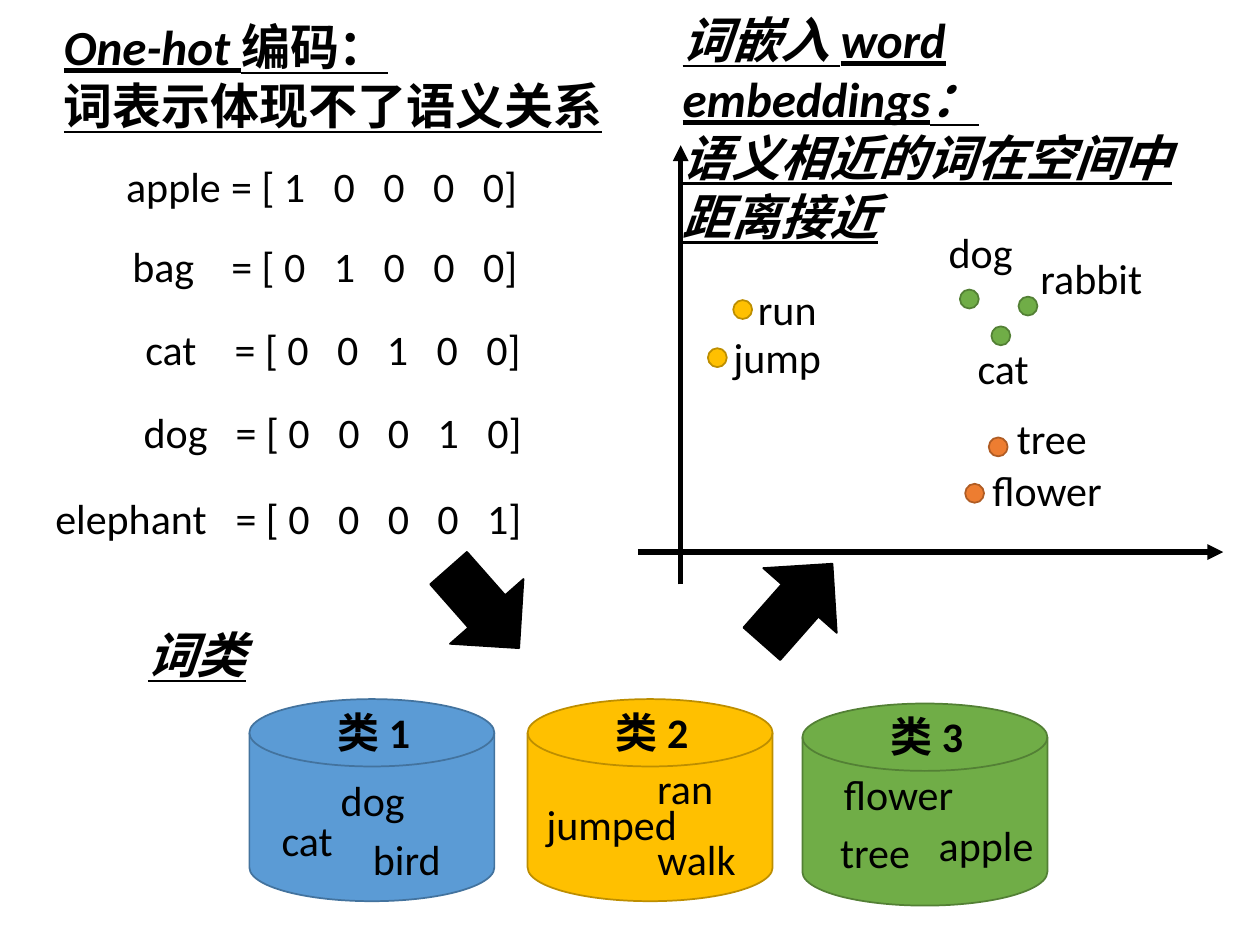
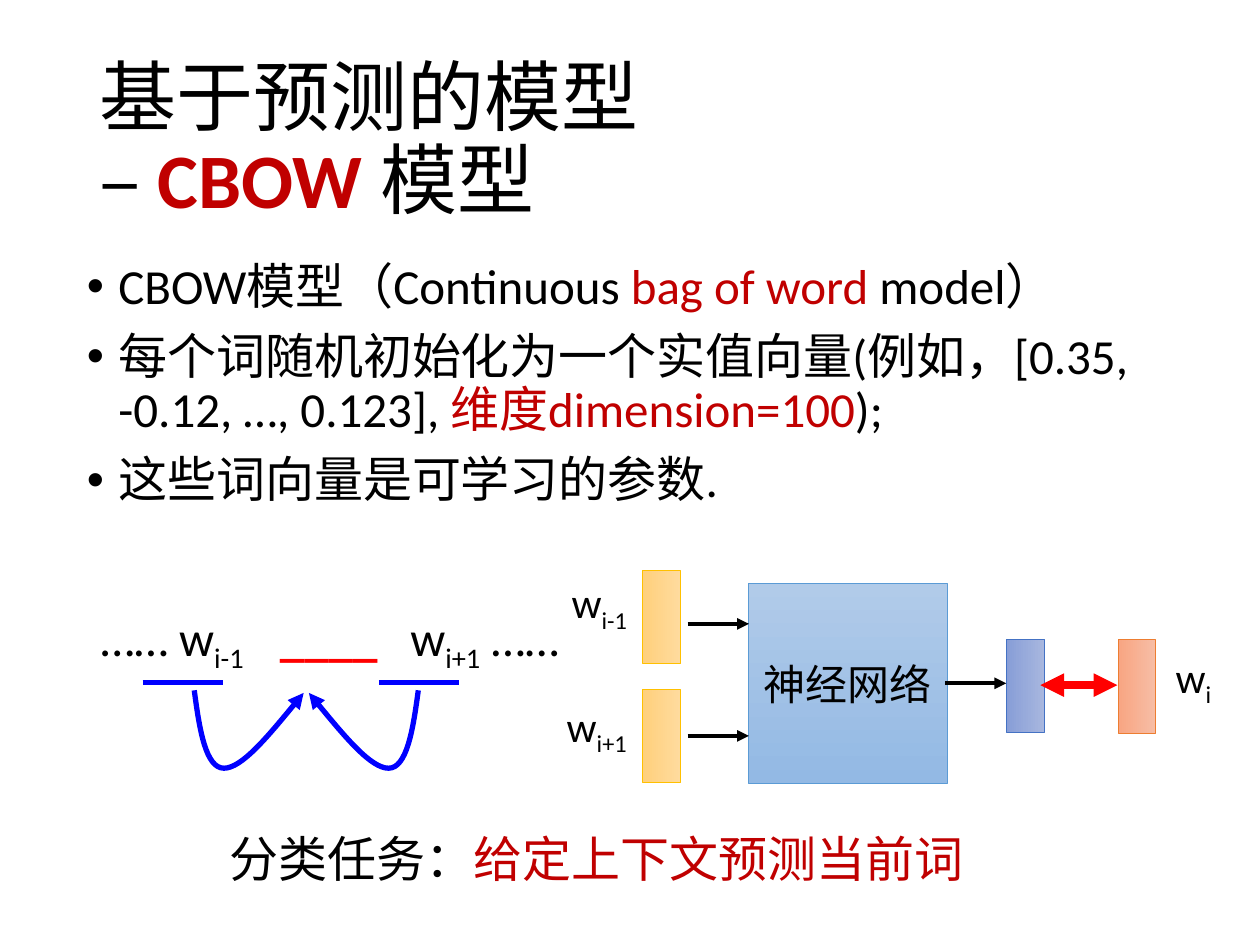
from lxml import etree
from pptx import Presentation
from pptx.dml.color import RGBColor
from pptx.enum import lang, shapes, text
from pptx.oxml.ns import qn
from pptx.util import Pt

FONT = "Calibri"
COLORS = {
    "black": "000000", "crimson": "C00000", "red": "FF0000", "pure_blue": "0000FF",
    "blue": "5B9BD5", "blue_edge": "43739E",
    "gold": "FFC000", "gold_edge": "BD8E00",
    "green": "70AD47", "green_edge": "538035",
    "orange": "ED7D31", "orange_edge": "AF5C24", "indigo": "4472C4",
}
# Light and dark end of each soft gradient
GRADIENTS = {
    "blue": ("B1CBE9", "93B9E4"), "gold": ("FFDB9E", "FFD07C"),
    "orange": ("F7BDA5", "F8A582"), "indigo": ("A8B7DF", "889ED7"),
}
LABEL_H = 36
LEFT, CENTER = text.PP_ALIGN.LEFT, text.PP_ALIGN.CENTER
SHAPE = shapes.MSO_SHAPE


def rgb(name):
    return RGBColor.from_string(COLORS[name])


# ---- Text ----
def add_run(p, words, size=24, color="black", bold=False, italic=False,
            underline=False, sub=False):
    for i, line in enumerate(words.split("\n")):
        if i:
            p.add_line_break()
        r = p.add_run()
        r.text = line
        f = r.font
        f.name, f.size, f.bold = FONT, Pt(size), bold
        f.italic, f.underline = italic, underline
        f.color.rgb = rgb(color)
        f.language_id = lang.MSO_LANGUAGE_ID.SIMPLIFIED_CHINESE
        if sub:
            r.font._element.set("baseline", "-25000")


def write(tf, paragraphs, align=LEFT, **fmt):
    """Each paragraph is a string or a list of strings and (string, format) pairs."""
    for i, runs in enumerate(paragraphs):
        p = tf.add_paragraph() if i else tf.paragraphs[0]
        p.alignment = align
        for run in [runs] if isinstance(runs, str) else runs:
            words, own = (run, {}) if isinstance(run, str) else run
            add_run(p, words, **{**fmt, **own})


def add_text(slide, left, top, width, height, *paragraphs, **fmt):
    tf = slide.shapes.add_textbox(Pt(left), Pt(top), Pt(width), Pt(height)).text_frame
    tf.word_wrap = True
    write(tf, paragraphs, **fmt)
    return tf


def set_tabs(p, stops):
    tabs = etree.SubElement(p._p.get_or_add_pPr(), qn("a:tabLst"))
    for stop in stops:
        etree.SubElement(tabs, qn("a:tab"), pos=str(Pt(stop)), algn="l")


def fill_placeholder(sp, left, top, width, height, *paragraphs, **fmt):
    sp.left, sp.top, sp.width, sp.height = map(Pt, (left, top, width, height))
    write(sp.text_frame, paragraphs, **fmt)
    for p in sp.text_frame.paragraphs:
        p.line_spacing = 0.9


# ---- Shapes and lines ----
def add_block(slide, kind, left, top, width, height, fill, edge, weight=1, rotation=0,
              gradient=False):
    sp = slide.shapes.add_shape(kind, Pt(left), Pt(top), Pt(width), Pt(height))
    sp.shadow.inherit = False
    sp.rotation = rotation
    if gradient:
        sp.fill.gradient()
        sp.fill.gradient_angle = 270
        for stop, color in zip(sp.fill.gradient_stops, GRADIENTS[fill]):
            stop.color.rgb = RGBColor.from_string(color)
    else:
        sp.fill.solid()
        sp.fill.fore_color.rgb = rgb(fill)
    sp.line.color.rgb, sp.line.width = rgb(edge), Pt(weight)
    return sp


def style_line(sp, color, weight, ends):
    sp.line.color.rgb, sp.line.width = rgb(color), Pt(weight)
    ln = sp.element.spPr.find(qn("a:ln"))
    for end in ends:
        etree.SubElement(ln, qn(f"a:{end}"), type="triangle")


def add_line(slide, x1, y1, x2, y2, color="black", weight=3.0, ends=("tailEnd",)):
    sp = slide.shapes.add_connector(shapes.MSO_CONNECTOR.STRAIGHT,
                                    Pt(x1), Pt(y1), Pt(x2), Pt(y2))
    style_line(sp, color, weight, ends)
    etree.SubElement(sp.element.spPr, qn("a:effectLst"))


def add_curved_arrow(slide, points, color):
    """Draw a chain of cubic curves: a start, then three points per curve."""
    start, *rest = [(Pt(x), Pt(y)) for x, y in points]
    builder = slide.shapes.build_freeform(*start)
    builder.add_line_segments(rest, close=False)
    sp = builder.convert_to_shape()
    sp.shadow.inherit = False
    sp.fill.background()
    style_line(sp, color, 3, ["tailEnd"])
    segments = list(sp.element.iter(qn("a:lnTo")))
    outline = segments[0].getparent()
    for i in range(0, len(segments), 3):
        curve = etree.SubElement(outline, qn("a:cubicBezTo"))
        for segment in segments[i:i + 3]:
            curve.append(segment[0])
            outline.remove(segment)


# ---- Slide 1: three ways to represent words ----
def add_embedding_space(slide):
    add_line(slide, 364.5, 315.5, 699, 315.5)
    add_line(slide, 389, 334, 389, 83)
    # word, colour, dot left and top, label left, top and width
    for word, color, x, y, label_x, label_y, label_w in [
        ("dog", "green", 548.5, 165.5, 535, 126, 57),
        ("cat", "green", 566.5, 186.5, 551.5, 192, 57),
        ("rabbit", "green", 582, 169.5, 587.5, 141, 78),
        ("jump", "gold", 404.5, 199, 412, 186, 92),
        ("run", "gold", 419, 171.5, 426, 158.5, 92),
        ("flower", "orange", 551.5, 276.5, 560, 262, 92),
        ("tree", "orange", 565, 250, 574, 232, 92),
    ]:
        add_block(slide, SHAPE.OVAL, x, y, 10.8, 10.8, color, color + "_edge")
        add_text(slide, label_x, label_y, label_w, LABEL_H, word)


def add_one_hot_rows(slide):
    digit_offset, digit_pitch = 30.2, 28.4
    # word, left, top, distance from the word to its equals sign
    rows = [("apple", 65, 88, 60), ("bag", 68.5, 134, 56.6), ("cat", 76, 181.5, 51),
            ("dog", 75, 229, 52.6), ("elephant", 24.5, 278, 103)]
    for hot, (word, left, top, equals) in enumerate(rows):
        digits = "\t".join(str(int(i == hot)) for i in range(len(rows)))
        tf = add_text(slide, left, top, 320, LABEL_H, f"{word}\t= [ {digits}]")
        set_tabs(tf.paragraphs[0], [equals] + [equals + digit_offset + digit_pitch * i
                                               for i in range(1, len(rows))])


def add_word_classes(slide):
    # colour, left, top, then each word with its left, top and width
    classes = [
        ("blue", 142.5, 399.5, [("dog", 178, 439, 70), ("cat", 140.5, 462, 70),
                                ("bird", 197.5, 473, 70)]),
        ("gold", 301.5, 399.5, [("ran", 356.5, 432, 70), ("jumped", 297.5, 453, 104),
                                ("walk", 363, 473, 70)]),
        ("green", 458.5, 402, [("flower", 466.5, 435.5, 94), ("tree", 465, 468.5, 70),
                               ("apple", 528.5, 465, 70)]),
    ]
    for number, (color, left, top, words) in enumerate(classes, 1):
        add_block(slide, SHAPE.FLOWCHART_MAGNETIC_DISK, left, top, 140, 115.5,
                  color, color + "_edge")
        add_text(slide, left + 1, top + 0.5, 140, LABEL_H, f"类 {number}",
                 align=CENTER, bold=True)
        for word, x, y, width in words:
            add_text(slide, x, y, width, LABEL_H, word, align=CENTER)


def build_representations(prs):
    slide = prs.slides.add_slide(prs.slide_layouts[6])
    heading = dict(size=28, bold=True, italic=True, underline=True)
    upright = dict(italic=False)
    add_embedding_space(slide)
    add_one_hot_rows(slide)
    add_text(slide, 29.5, 6, 327, 75, ["One-hot", (" 编码：", upright)],
             [("词表示体现不了语义关系", upright)], **heading)
    add_text(slide, 383, 2, 327.5, 109, "词嵌入 word embeddings：",
             "语义相近的词在空间中", "距离接近", **heading)
    add_word_classes(slide)
    add_text(slide, 37.5, 353.5, 150, 41, "词类", align=CENTER, **heading)
    for left, top, angle in [(246, 319.5, 48.6), (425, 317, 311.4)]:
        add_block(slide, SHAPE.RIGHT_ARROW, left, top, 61, 56, "black", "black",
                  rotation=angle)


# ---- Slide 2: the CBOW model ----
def add_context_window(slide):
    sub = dict(sub=True)
    tf = add_text(slide, 36.5, 343.5, 305, 49,
                  ["…… w", ("i-1", sub), "\t", ("____", dict(color="red", bold=True)),
                   "\tw", ("i+1", sub), " ……"], size=28)
    tf.margin_left = Pt(21)
    set_tabs(tf.paragraphs[0], [102.5, 177])
    for x in (81.5, 216.5):
        add_line(slide, x, 390, x + 46, 390, "pure_blue", ends=())
    curve = [(111, 394.5), (114, 417), (117.5, 439), (128, 439),
             (138, 439), (156, 417.5), (173.5, 396)]
    mirror_sum = 350
    add_curved_arrow(slide, curve, "pure_blue")
    add_curved_arrow(slide, [(mirror_sum - x, y) for x, y in curve], "pure_blue")


def add_network(slide):
    network = add_block(slide, SHAPE.RECTANGLE, 427.5, 333.5, 114, 114, "blue", "blue",
                        0.5, gradient=True)
    network.text_frame.vertical_anchor = text.MSO_ANCHOR.MIDDLE
    write(network.text_frame, ["神经网络"], align=CENTER)
    # Word vectors
    for left, top, color in [(351.5, 342, "gold"), (351.5, 410, "gold"),
                             (623, 381.5, "orange"), (559.5, 381, "indigo")]:
        add_block(slide, SHAPE.RECTANGLE, left, top, 53.3, 21.6, color, color, 0.5, 90,
                  gradient=True)
    # Data flow
    for x, y in [(393, 356.5), (393, 420.5), (540, 390.5)]:
        add_line(slide, x, y, x + 35, y, weight=2.25)
    add_line(slide, 594.5, 391.5, 638.5, 391.5, "red", 4.5, ("headEnd", "tailEnd"))
    for left, top, index in [(654, 368.5, "i"), (314.5, 326, "i-1"), (313, 396.5, "i+1")]:
        add_text(slide, left, top, 56, 43, ["w", (index, dict(sub=True))], align=CENTER)


def build_cbow(prs):
    slide = prs.slides.add_slide(prs.slide_layouts[1])
    title, body = slide.placeholders
    crimson = dict(color="crimson")
    fill_placeholder(title, 49.5, 29, 621, 104.5,
                     ["基于预测的模型\n– ", ("CBOW ", dict(crimson, bold=True)), "模型"],
                     size=44)
    fill_placeholder(
        body, 42.5, 146, 621, 315.5,
        ["CBOW模型（Continuous ", ("bag of word ", crimson), "model）"],
        ["每个词随机初始化为一个实值向量(例如，[0.35, -0.12, …, 0.123], ",
         ("维度dimension=100", crimson), ");"],
        "这些词向量是可学习的参数.", size=28)
    for p in body.text_frame.paragraphs:
        p.space_before = Pt(10)
        p._p.pPr.set("marL", str(Pt(18)))
        p._p.pPr.set("indent", str(Pt(-18)))
    add_context_window(slide)
    add_network(slide)
    add_text(slide, 124, 470, 443, 41, ["分类任务：", ("给定上下文预测当前词", crimson)],
             size=28)


def main():
    prs = Presentation()
    prs.slide_width, prs.slide_height = Pt(720), Pt(540)
    build_representations(prs)
    build_cbow(prs)
    prs.save("out.pptx")


if __name__ == "__main__":
    main()
